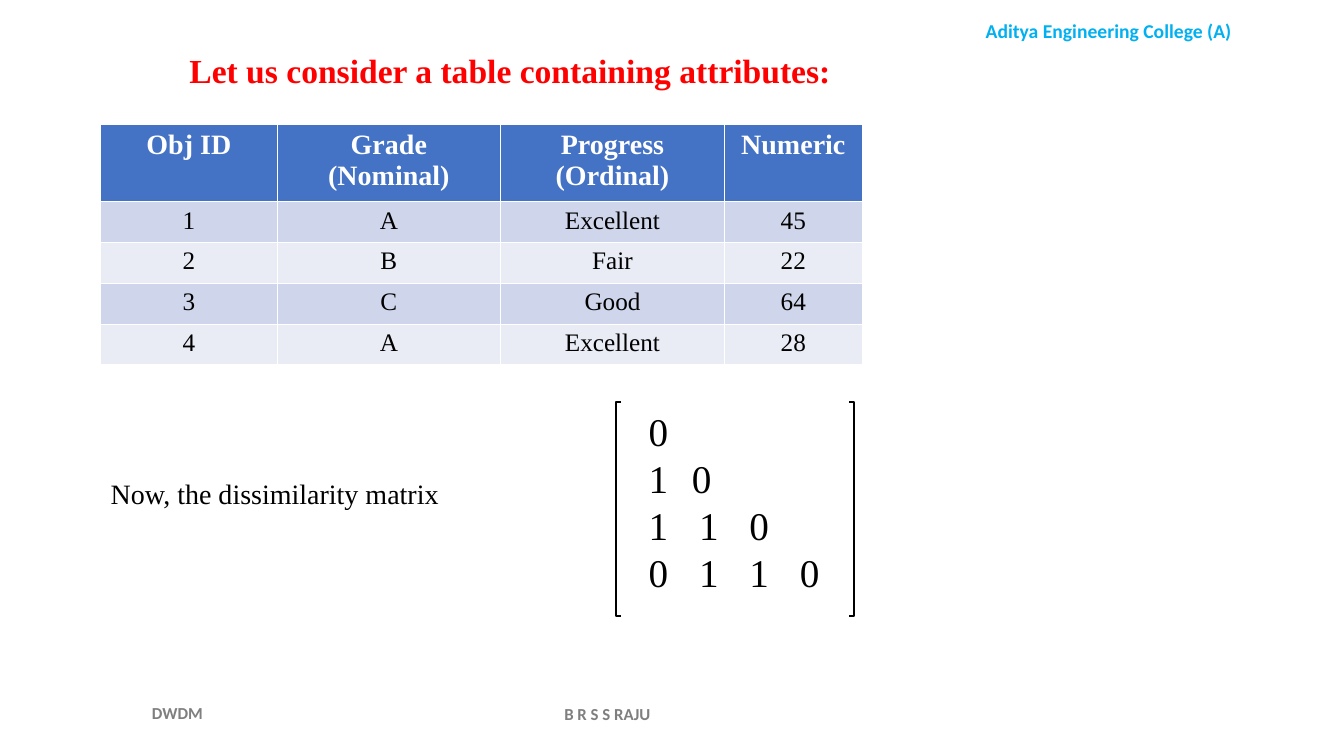
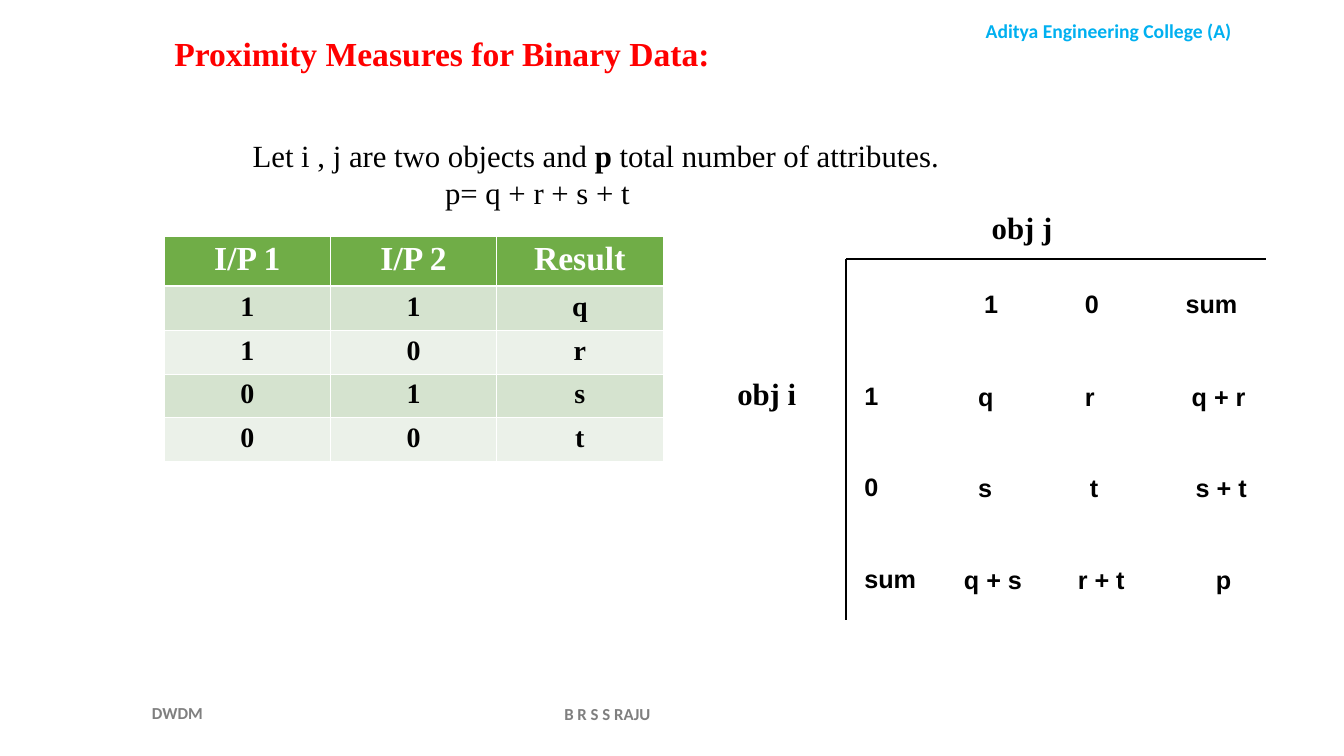
"""Build two slides on dissimilarity and proximity measures."""
from lxml import etree
from pptx import Presentation
from pptx.dml import color as c
from pptx.enum import shapes, text
from pptx.oxml import ns
from pptx.util import Inches, Pt

SERIF, SANS, LABEL = "Times New Roman", "Arial", "Calibri"
BLACK, WHITE, RED, SKY, GREY = "000000", "FFFFFF", "FF0000", "00B0F0", "7F7F7F"
LEFT, MID = text.PP_ALIGN.LEFT, text.PP_ALIGN.CENTER
TOP, CENTRE, BASE = (text.MSO_ANCHOR.TOP, text.MSO_ANCHOR.MIDDLE,
                     text.MSO_ANCHOR.BOTTOM)

FRAME = [
    ("Aditya Engineering College (A)", (9.09, 0.14, 3.83, 0.34),
     dict(size=14, color=SKY, align=MID)),
    ("DWDM", (1.41, 6.87, 1.51, 0.4),
     dict(size=12, color=GREY, anchor=CENTRE)),
    ("B R S S RAJU", (4.53, 6.88, 3, 0.4),
     dict(size=12, color=GREY, align=MID, anchor=CENTRE)),
]
GRADES = [
    ("Obj ID", "Grade\n(Nominal)", "Progress\n(Ordinal)", "Numeric"),
    ("1", "A", "Excellent", "45"),
    ("2", "B", "Fair", "22"),
    ("3", "C", "Good", "64"),
    ("4", "A", "Excellent", "28"),
]
PAIRS = [
    ("I/P 1", "I/P 2", "Result"),
    ("1", "1", "q"),
    ("1", "0", "r"),
    ("0", "1", "s"),
    ("0", "0", "t"),
]
BLUES = ("4472C4", "CFD5EA", "E9EBF5")
GREENS = ("70AD47", "D5E3CF", "EBF1E9")
MATRIX = ["0", "1\t0", "1\t1\t0", "0\t1\t1\t0"]
STOPS = [(), (0.43,), (0.5, 1), (0.5, 1, 1.5)]
COUNTS = ["\tq\tr\tq + r", "\ts\tt\ts + t", "\tq + s\tr + t\tp"]
SPOTS = [(0.42, 1.48, 2.54), (0.42, 1.53, 2.58), (0.28, 1.41, 2.78)]


def rgb(code):
    """Turn a hex string into a colour."""
    return c.RGBColor.from_string(code)


def write(frame, words, size=18, font=SERIF, color=BLACK, bold=False,
          align=LEFT, anchor=TOP, stops=(), gap=0):
    """Fill a frame; asterisks enclose bold words, stops hold tabs by line."""
    frame.word_wrap = True
    frame.auto_size = text.MSO_AUTO_SIZE.NONE
    frame.vertical_anchor = anchor
    lines = words.split("\n") if isinstance(words, str) else words
    for i, line in enumerate(lines):
        para = frame.add_paragraph() if i else frame.paragraphs[0]
        if i < len(stops) and stops[i]:
            tabs = etree.SubElement(para._p.get_or_add_pPr(), ns.qn("a:tabLst"))
            for stop in stops[i]:
                etree.SubElement(tabs, ns.qn("a:tab"), pos=str(Inches(stop)), algn="l")
        para.alignment = align
        para.space_before = Pt(gap if i else 0)
        for k, part in enumerate(line.split("*")):
            run = para.add_run()
            run.text = part
            run.font.size, run.font.name = Pt(size), font
            run.font.bold = bold or k % 2 == 1
            run.font.color.rgb = rgb(color)


def label(slide, words, box, **style):
    """Add a text box."""
    write(slide.shapes.add_textbox(*map(Inches, box)).text_frame, words, **style)


def start(deck, title, box, anchor=TOP):
    """Add a slide with its title and the shared labels."""
    slide = deck.slides.add_slide(deck.slide_layouts[5])
    head = slide.shapes.title
    head.left, head.top, head.width, head.height = map(Inches, box)
    write(head.text_frame, title, size=24, color=RED, bold=True, anchor=anchor)
    for words, place, style in FRAME:
        label(slide, words, place, font=LABEL, bold=True, **style)
    return slide


def edge(cell, row):
    """Give a cell white borders, thicker under the header."""
    for side in "LRTB":
        thick = (row, side) in ((0, "B"), (1, "T"))
        line = etree.SubElement(cell._tc.get_or_add_tcPr(), ns.qn("a:ln" + side),
                                w=str(Pt(1.5 if thick else 0.5)))
        fill = etree.SubElement(line, ns.qn("a:solidFill"))
        etree.SubElement(fill, ns.qn("a:srgbClr"), val=WHITE)


def grid(slide, rows, spot, widths, heights, fills, sizes, bold):
    """Add a banded table."""
    box = (*spot, sum(widths), sum(heights))
    table = slide.shapes.add_table(len(rows), len(widths), *map(Inches, box)).table
    for col, width in zip(table.columns, widths):
        col.width = Inches(width)
    for i, row in enumerate(rows):
        table.rows[i].height = Inches(heights[i])
        for j, words in enumerate(row):
            cell = table.cell(i, j)
            edge(cell, i)
            cell.fill.solid()
            cell.fill.fore_color.rgb = rgb(fills[0 if i == 0 else 2 - i % 2])
            write(cell.text_frame, words, size=sizes[min(i, 1)], align=MID,
                  color=BLACK if i else WHITE, bold=bold or i == 0)


def bracket(slide, tip, back, top, end):
    """Draw a square bracket."""
    points = [(Inches(x), Inches(y)) for x, y in
              ((tip, top), (back, top), (back, end), (tip, end))]
    build = slide.shapes.build_freeform(*points[0])
    build.add_line_segments(points[1:], close=False)
    shape = build.convert_to_shape()
    shape.shadow.inherit = False
    shape.fill.background()
    shape.line.color.rgb, shape.line.width = rgb(BLACK), Pt(1.5)


def rule(slide, *ends):
    """Draw a straight line."""
    line = slide.shapes.add_connector(shapes.MSO_CONNECTOR.STRAIGHT, *map(Inches, ends))
    line.line.color.rgb, line.line.width = rgb(BLACK), Pt(1.5)
    etree.SubElement(line._element.spPr, ns.qn("a:effectLst"))


def nominal(deck):
    """Build the slide on nominal attributes."""
    slide = start(deck, "Let us consider a table containing attributes:",
                  (1.78, 0.28, 6.77, 0.67), BASE)
    grid(slide, GRADES, (1, 1.23), (1.75, 2.22, 2.22, 1.37),
         [0.77] + [0.405] * 4, BLUES, (20, 18), False)
    label(slide, MATRIX, (6.34, 3.99, 2.77, 1.97), size=28, stops=STOPS)
    for tip, back in ((6.16, 6.11), (8.43, 8.48)):
        bracket(slide, tip, back, 3.99, 6.11)
    label(slide, "Now, the dissimilarity matrix", (1, 4.68, 3.53, 0.44), size=20)


def binary(deck):
    """Build the slide on binary data."""
    slide = start(deck, "Proximity Measures for Binary Data:", (1.63, 0.28, 6.77, 0.5))
    label(slide, ["Let i , j are two objects and *p* total number of attributes.",
                  "\tp= q + r + s + t"],
          (2.41, 1.31, 7.16, 0.84), size=22, stops=[(), (1.91,)])
    grid(slide, PAIRS, (1.63, 2.34), [1.65] * 3, [0.5] + [0.435] * 4,
         GREENS, (24, 20), True)
    rule(slide, 8.4, 2.57, 12.57, 2.57)
    rule(slide, 8.4, 2.57, 8.4, 6.15)
    label(slide, "obj j", (9.61, 2.02, 1.07, 0.47), size=22, bold=True, align=MID)
    label(slide, "obj i", (7.22, 3.67, 0.86, 0.47), size=22, bold=True)
    bold = dict(font=SANS, bold=True, gap=44)
    label(slide, "1\t0\tsum", (9.67, 2.81, 2.83, 0.4), stops=[(1, 2)], **bold)
    label(slide, "1\n0\nsum", (8.48, 3.72, 0.79, 2.2), **bold)
    label(slide, COUNTS, (9.19, 3.73, 3.54, 2.2), stops=SPOTS, **bold)


def main():
    """Make the deck and save it."""
    deck = Presentation()
    deck.slide_width, deck.slide_height = Inches(13.34), Inches(7.5)
    nominal(deck)
    binary(deck)
    deck.save("out.pptx")


if __name__ == "__main__":
    main()
